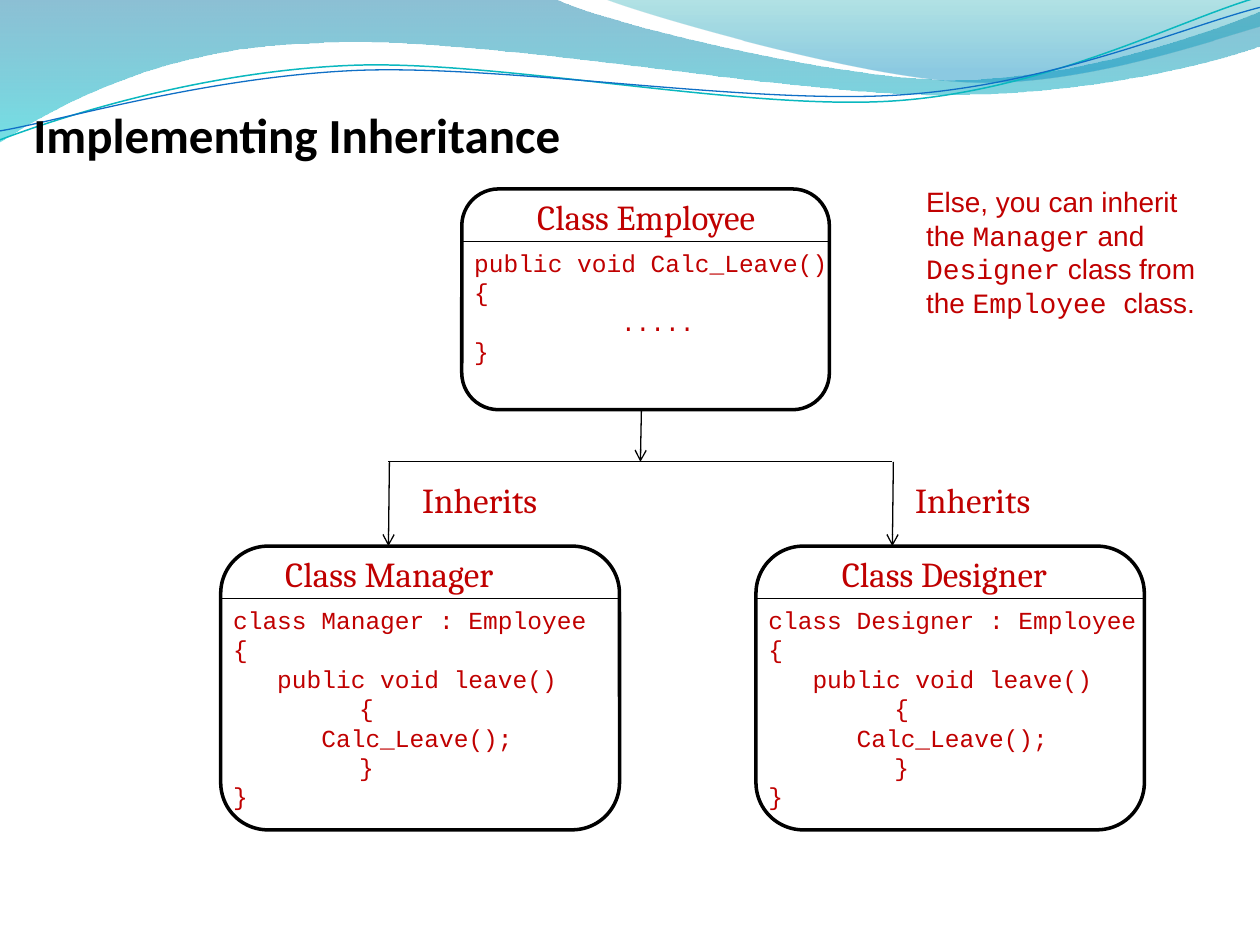
from lxml import etree
from pptx import Presentation
from pptx.dml.color import RGBColor
from pptx.enum.shapes import MSO_CONNECTOR, MSO_SHAPE
from pptx.enum.text import MSO_ANCHOR, PP_ALIGN
from pptx.oxml.ns import qn
from pptx.util import Cm, Pt

STRAIGHT = MSO_CONNECTOR.STRAIGHT
ROUNDED = MSO_SHAPE.ROUNDED_RECTANGLE
MIDDLE = MSO_ANCHOR.MIDDLE
LEFT = PP_ALIGN.LEFT

COLORS = {"ink": "000000", "paper": "FFFFFF", "accent": "C00000",
          "teal": "0AB8BF", "blue": "0F6FC6", "deep": "0074A1",
          "aqua": "00C6CF", "sea": "00A1A9", "sky": "008BBF"}

TITLE = "Implementing Inheritance"
NOTE = [("Else, you can inherit the ", "Arial"), ("Manager", "Courier New"),
        (" and ", "Arial"), ("Designer", "Courier New"),
        (" class from the ", "Arial"), ("Employee ", "Courier New"),
        ("class.", "Arial")]


def subclass_code(name):
    return [(f"class {name} : Employee", 0), ("{", 0),
            ("public void leave()", 0.89), ("{", 2.54),
            ("Calc_Leave();", 1.78), ("}", 2.54), ("}", 0)]


EMPLOYEE_CODE = [("public void Calc_Leave()", 0), ("{", 0), (".....", 2.96), ("}", 0)]
HEADER_HEIGHT = 1.06
CLASSES = [
    {"name": "Employee", "box": (9.31, 3.81, 7.41, 4.45), "heading": (10.58, 5.93),
     "code_size": (8.69, 3.63), "code": EMPLOYEE_CODE},
    {"name": "Manager", "box": (4.45, 11.01, 8.04, 5.72), "heading": (5.5, 9.31),
     "code_size": (9.1, 4.39), "code": subclass_code("Manager")},
    {"name": "Designer", "box": (15.24, 11.01, 7.83, 5.72), "heading": (16.72, 8.68),
     "code_size": (9.1, 4.39), "code": subclass_code("Designer")},
]
PARENT_X, BRANCH_XS, BRANCH_Y = 12.91, (7.83, 17.99), 9.31
ARROW_SLANT = 0.02
INHERITS_LEFTS = (8.26, 18.2)

BANDS = [
    {"start": (0, 0),
     "segments": [[(11.18, -0.03)],
                  [(12.09, 0.43), (16.87, 1.6), (19.25, 1.6)],
                  [(21.67, 1.6), (24.33, 0.66), (25.4, 0.23)],
                  [(25.43, 0.91)],
                  [(24.97, 1.12), (22.1, 1.93), (18.95, 1.91)],
                  [(15.8, 1.91), (9.7, 0.71), (6.53, 0.86)],
                  [(3.28, 0.91), (1.17, 2.11), (-0.03, 2.87)],
                  [(0, 0)]],
     "stops": [(0, "deep", 45), (1, "aqua", 55)]},
    {"start": (12.17, -0.03),
     "segments": [[(12.93, 0.28), (17.32, 1.57), (19.53, 1.65)],
                  [(21.74, 1.75), (24.41, 0.81), (25.4, 0.53)],
                  [(25.4, 0)],
                  [(12.17, -0.03)]],
     "stops": [(0, "sea", 30), (0.8, "sky", 45)]},
]
STRANDS = [
    {"start": (0, 2.82), "color": "teal", "weight": 0.85,
     "segments": [[(1.22, 2.36), (4.01, 1.45), (7.04, 1.32)],
                  [(10.03, 1.19), (15.06, 2.26), (18.11, 2.03)],
                  [(21.16, 1.8), (23.83, 0.38), (25.35, -0.05)]]},
    {"start": (0, 2.64), "color": "blue", "weight": 0.75,
     "segments": [[(1.19, 2.44), (4.17, 1.55), (7.19, 1.42)],
                  [(10.24, 1.3), (15.16, 2.13), (18.21, 1.91)],
                  [(21.23, 1.7), (23.9, 0.53), (25.4, 0.15)]]},
]


def rgb(name):
    return RGBColor.from_string(COLORS[name])


def add_wave(slide, wave, closed):
    start_x, start_y = wave["start"]
    builder = slide.shapes.build_freeform(Cm(start_x), Cm(start_y))
    points = [(Cm(x), Cm(y)) for segment in wave["segments"] for x, y in segment]
    builder.add_line_segments(points, close=closed)
    outline = builder.convert_to_shape()
    outline.shadow.inherit = False
    steps = iter(list(outline.element.iter(qn("a:lnTo"))))
    for segment in wave["segments"]:
        first, *others = [next(steps) for _ in segment]
        if others:
            curve = etree.Element(qn("a:cubicBezTo"))
            first.addprevious(curve)
            for step in (first, *others):
                curve.append(step[0])
                step.getparent().remove(step)
    return outline


def add_band(slide, band):
    shape = add_wave(slide, band, True)
    shape.line.fill.background()
    shape.fill.gradient()
    shape.fill.gradient_angle = 270
    for stop, (position, color, _) in zip(shape.fill.gradient_stops, band["stops"]):
        stop.position = position
        stop.color.rgb = rgb(color)
    tints = shape.element.spPr.iter(qn("a:srgbClr"))
    for tint, (_, _, opacity) in zip(tints, band["stops"]):
        etree.SubElement(tint, qn("a:alpha"), val=str(opacity * 1000))


def add_strand(slide, strand):
    shape = add_wave(slide, strand, False)
    shape.fill.background()
    shape.line.color.rgb = rgb(strand["color"])
    shape.line.width = Pt(strand["weight"])


def style(font, face, size, color="accent"):
    font.name, font.size = face, Pt(size)
    font.color.rgb = rgb(color)


def add_text(slide, left, top, width, height):
    frame = slide.shapes.add_textbox(Cm(left), Cm(top), Cm(width), Cm(height)).text_frame
    frame.word_wrap = True
    return frame


def add_label(slide, text, left, top, width):
    paragraph = add_text(slide, left, top, width, 1.1).paragraphs[0]
    paragraph.text = text
    style(paragraph.font, "Cambria", 20)


def add_line(slide, x1, y1, x2, y2, arrow=False):
    line = slide.shapes.add_connector(STRAIGHT, Cm(x1), Cm(y1), Cm(x2), Cm(y2))
    line.line.color.rgb = rgb("ink")
    line.line.width = Pt(0.75)
    properties = line.element.spPr
    if arrow:
        etree.SubElement(properties.find(qn("a:ln")), qn("a:tailEnd"), type="arrow")
    etree.SubElement(properties, qn("a:effectLst"))


def add_arrow(slide, x, top, bottom):
    add_line(slide, x + ARROW_SLANT, top, x, bottom, True)


def add_class(slide, entry):
    left, top, width, height = entry["box"]
    box = slide.shapes.add_shape(ROUNDED, Cm(left), Cm(top), Cm(width), Cm(height))
    box.shadow.inherit = False
    box.fill.solid()
    box.fill.fore_color.rgb = rgb("paper")
    box.line.color.rgb = rgb("ink")
    box.line.width = Pt(2)
    divider = top + HEADER_HEIGHT
    add_line(slide, left, divider, left + width, divider)
    heading_left, heading_width = entry["heading"]
    add_label(slide, f"Class {entry['name']}", heading_left, top, heading_width)
    frame = add_text(slide, left, divider, *entry["code_size"])
    for index, (statement, indent) in enumerate(entry["code"]):
        paragraph = frame.add_paragraph() if index else frame.paragraphs[0]
        paragraph.text = statement
        style(paragraph.font, "Courier New", 14)
        if indent:
            paragraph._p.get_or_add_pPr().set("marL", str(Cm(indent)))


def main():
    deck = Presentation()
    deck.slide_width, deck.slide_height = Cm(25.4), Cm(19.05)
    slide = deck.slides.add_slide(deck.slide_layouts[5])
    for band in BANDS:
        add_band(slide, band)
    for strand in STRANDS:
        add_strand(slide, strand)

    title = slide.shapes.title
    slide.shapes.element.append(title.element)
    title.left, title.top, title.width, title.height = Cm(0.42), Cm(1.98), Cm(24.33), Cm(1.45)
    title.text_frame.text = TITLE
    title.text_frame.vertical_anchor = MIDDLE
    heading = title.text_frame.paragraphs[0]
    heading.alignment = LEFT
    heading.font.bold = True
    style(heading.font, "Calibri", 28, "ink")

    for entry in CLASSES:
        add_class(slide, entry)

    _, parent_top, _, parent_height = CLASSES[0]["box"]
    child_top = CLASSES[1]["box"][1]
    add_line(slide, BRANCH_XS[0], BRANCH_Y, BRANCH_XS[1], BRANCH_Y)
    add_arrow(slide, PARENT_X, parent_top + parent_height, BRANCH_Y)
    for x, label_left in zip(BRANCH_XS, INHERITS_LEFTS):
        add_arrow(slide, x, BRANCH_Y, child_top)
        add_label(slide, "Inherits", label_left, 9.53, 4.87)

    note = add_text(slide, 18.42, 3.6, 5.93, 3.68).paragraphs[0]
    for words, face in NOTE:
        run = note.add_run()
        run.text = words
        style(run.font, face, 16)
    deck.save("out.pptx")


if __name__ == "__main__":
    main()
